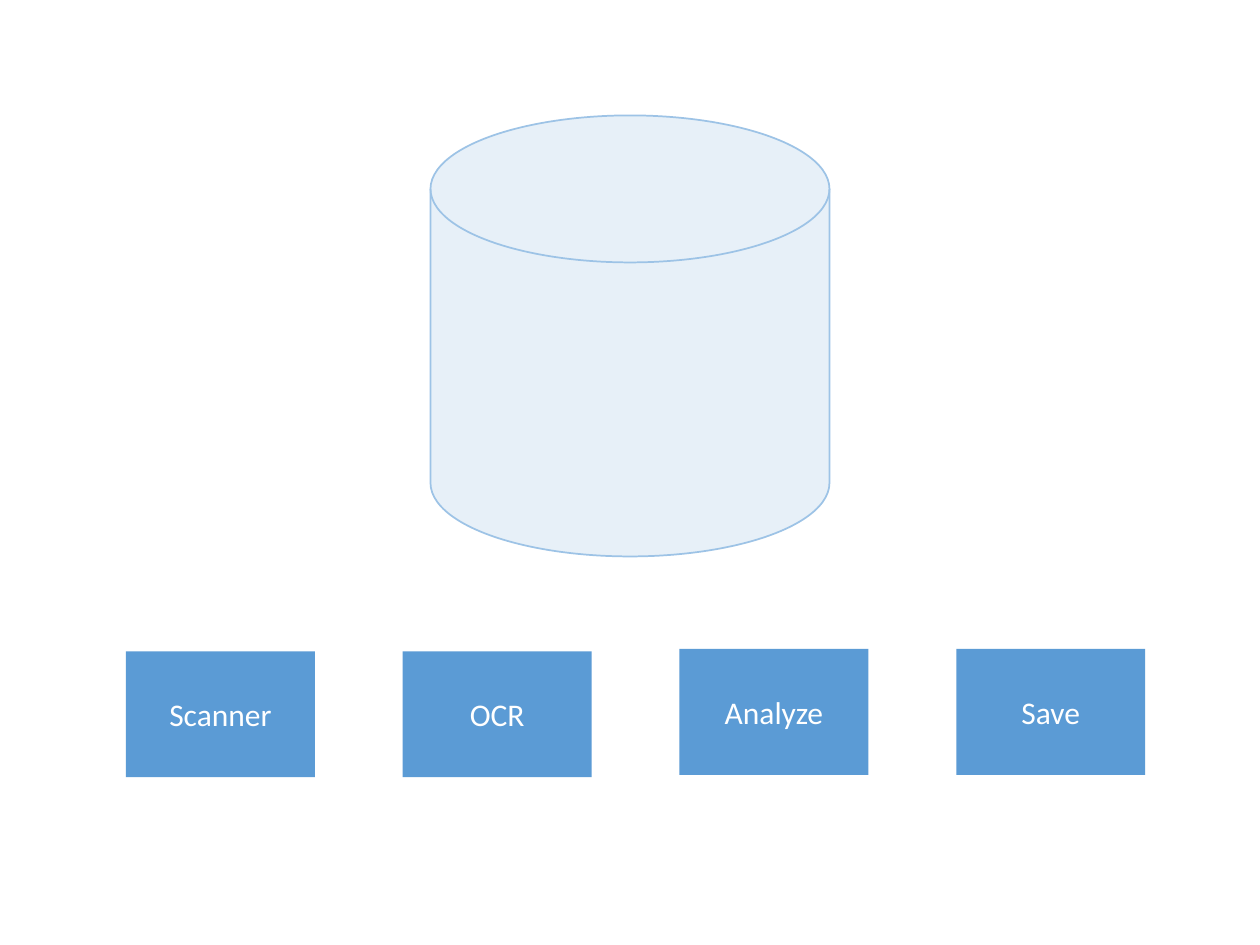
from lxml.etree import SubElement
from pptx import Presentation
from pptx.dml.color import RGBColor
from pptx.enum.shapes import MSO_SHAPE
from pptx.enum.text import MSO_ANCHOR, PP_ALIGN
from pptx.oxml.ns import qn
from pptx.util import Pt

COLORS = {
    "step": "5B9BD5",
    "label": "FFFFFF",
    "store": "BDD7EE",
    "store_edge": "9DC3E6",
}
STEPS = [("Scanner", 372.2), ("OCR", 372.2), ("Analyze", 370.8), ("Save", 370.8)]
STEP_LEFT = 72
STEP_PITCH = 158.15


def color(name):
    return RGBColor.from_string(COLORS[name])


def add_filled_shape(page, kind, left, top, width, height, fill):
    shape = page.shapes.add_shape(kind, Pt(left), Pt(top), Pt(width), Pt(height))
    shape.shadow.inherit = False
    shape.fill.solid()
    shape.fill.fore_color.rgb = color(fill)
    return shape


def add_step(page, label, left, top):
    box = add_filled_shape(page, MSO_SHAPE.RECTANGLE, left, top, 108, 72, "step")
    box.line.fill.background()
    box.text_frame.word_wrap = True
    box.text_frame.vertical_anchor = MSO_ANCHOR.MIDDLE
    para = box.text_frame.paragraphs[0]
    para.alignment = PP_ALIGN.CENTER
    span = para.add_run()
    span.text = label
    span.font.name = "Calibri"
    span.font.size = Pt(18)
    span.font.color.rgb = color("label")


def add_store(page, left, top, width, height, opacity):
    store = add_filled_shape(
        page, MSO_SHAPE.FLOWCHART_MAGNETIC_DISK, left, top, width, height, "store"
    )
    store.line.color.rgb = color("store_edge")
    store.line.width = Pt(1)
    fill_color = store.element.spPr.find(qn("a:solidFill")).find(qn("a:srgbClr"))
    SubElement(fill_color, qn("a:alpha")).set("val", str(opacity * 1000))


def main():
    deck = Presentation()
    deck.slide_width, deck.slide_height = Pt(720), Pt(540)
    page = deck.slides.add_slide(deck.slide_layouts[6])
    for index, (label, top) in enumerate(STEPS):
        add_step(page, label, STEP_LEFT + index * STEP_PITCH, top)
    add_store(page, 246, 66, 228, 252, 36)
    deck.save("out.pptx")


if __name__ == "__main__":
    main()
